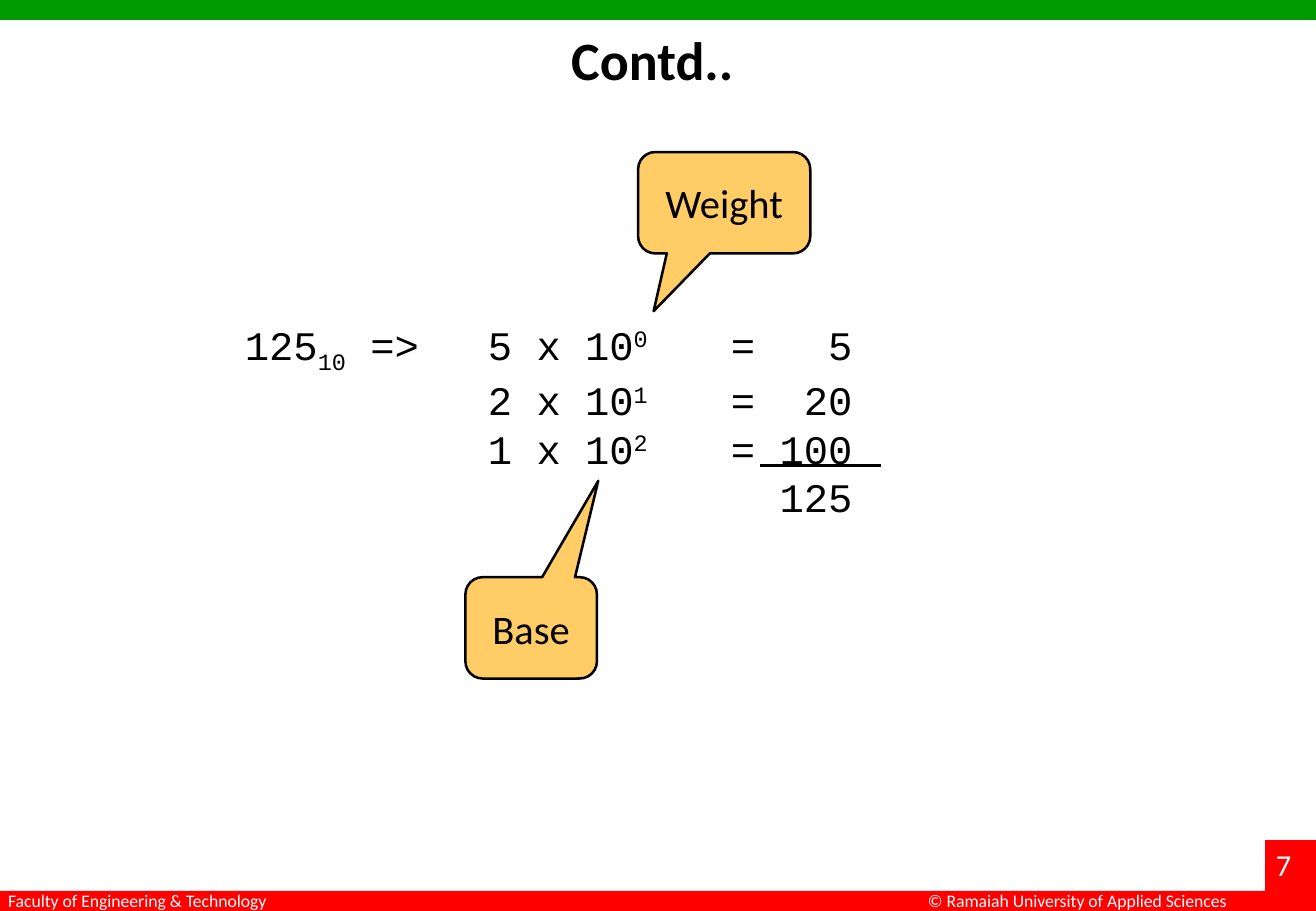
"""Build the slide that expands 125 in base ten by weight and base."""
import pptx
import pptx.util
import pptx.dml.color
import pptx.enum.shapes
import pptx.enum.text
import pptx.oxml.ns
import lxml.etree

Cm, Pt = pptx.util.Cm, pptx.util.Pt
RGB = pptx.dml.color.RGBColor
KIND = pptx.enum.shapes.MSO_SHAPE
ALIGN = pptx.enum.text.PP_ALIGN
ANCHOR = pptx.enum.text.MSO_ANCHOR
qn = pptx.oxml.ns.qn

BLACK = RGB(0, 0, 0)
WHITE = RGB(255, 255, 255)
GREEN = RGB(0, 0x99, 0)
RED = RGB(255, 0, 0)
AMBER = RGB(0xFF, 0xCC, 0x66)

WIDE, HIGH, BAR = 27.51, 19.05, 0.42
BARS = [
    ((0, 0, WIDE, BAR), GREEN),
    ((0, HIGH - BAR, WIDE, BAR), RED),
    ((26.45, 17.57, 1.06, 1.48), RED),
]
LABELS = [
    ("© Ramaiah University of Applied Sciences", (19.15, 18.49, 6.86, 0.71), 10.5),
    ("7", (26.42, 17.57, 1.27, 1.02), 18),
    ("Faculty of Engineering & Technology", (-0.08, 18.49, 6.05, 0.71), 10.5),
]
TITLE = ("Contd.. ", (1.38, BAR, 24.77, 3.18))
SUB, SUPER = -25000, 30000
SUMS = [
    [("125", 0), ("10", SUB), (" =>\t5 x 10", 0), ("0", SUPER), ("\t=\t5", 0)],
    [("\t2 x 10", 0), ("1", SUPER), ("\t=\t20", 0)],
    [("\t1 x 10", 0), ("2", SUPER), ("\t=\t100", 0)],
    [("\t\t\t125", 0)],
]
SUMBOX = (4.87, 6.56, 16.72, 4.32)
TABS = [(5.08, "l"), (10.16, "l"), (12.7, "r")]
RULE = (15.88, 9.73, 18.42, 9.73)
CALLS = [
    ("Base", (9.73, 12.07, 2.75, 2.12), (0.51, -1.45, 0.17)),
    ("Weight", (13.34, 3.18, 3.6, 2.12), (-0.41, 1.07, 0.17)),
]


def cms(box):
    return [Cm(part) for part in box]


def add_run(para, text, size, color, face="Calibri"):
    run = para.add_run()
    run.text = text
    run.font.size, run.font.name = Pt(size), face
    run.font.color.rgb = color
    return run


def add_form(slide, kind, box, color):
    form = slide.shapes.add_shape(kind, *cms(box))
    form.shadow.inherit = False
    form.fill.solid()
    form.fill.fore_color.rgb = color
    form.line.fill.background()
    return form


def add_box(slide, box):
    frame = slide.shapes.add_textbox(*cms(box)).text_frame
    frame.word_wrap = True
    return frame.paragraphs[0]


def add_title(slide):
    text, box = TITLE
    title = slide.shapes.title
    title.left, title.top, title.width, title.height = cms(box)
    frame = title.text_frame
    frame.vertical_anchor = ANCHOR.TOP
    para = frame.paragraphs[0]
    para.alignment = ALIGN.CENTER
    add_run(para, text, 32, BLACK).font.bold = True


def add_sums(slide):
    para = add_box(slide, SUMBOX)
    stops = lxml.etree.SubElement(para._p.get_or_add_pPr(), qn("a:tabLst"))
    for place, side in TABS:
        lxml.etree.SubElement(stops, qn("a:tab"), pos=str(Cm(place)), algn=side)
    for row, parts in enumerate(SUMS):
        if row:
            para.add_line_break()
        for text, shift in parts:
            run = add_run(para, text, 24, BLACK, "Courier New")
            if shift:
                run.font._element.set("baseline", str(shift))


def add_rule(slide):
    rule = slide.shapes.add_connector(
        pptx.enum.shapes.MSO_CONNECTOR.STRAIGHT, *cms(RULE))
    rule.line.color.rgb = BLACK
    rule.line.width = Pt(1.5)
    lxml.etree.SubElement(rule._element.spPr, qn("a:effectLst"))


def add_call(slide, text, box, tip):
    call = add_form(slide, KIND.ROUNDED_RECTANGULAR_CALLOUT, box, AMBER)
    for spot, value in enumerate(tip):
        call.adjustments[spot] = value
    call.line.color.rgb = BLACK
    call.line.width = Pt(1.5)
    call.text_frame.vertical_anchor = ANCHOR.MIDDLE
    para = call.text_frame.paragraphs[0]
    para.alignment = ALIGN.CENTER
    add_run(para, text, 24, BLACK)


def main():
    deck = pptx.Presentation()
    deck.slide_width, deck.slide_height = Cm(WIDE), Cm(HIGH)
    slide = deck.slides.add_slide(deck.slide_layouts[5])
    for box, color in BARS:
        add_form(slide, KIND.RECTANGLE, box, color)
    for text, box, size in LABELS:
        add_run(add_box(slide, box), text, size, WHITE)
    add_title(slide)
    add_sums(slide)
    add_rule(slide)
    for text, box, tip in CALLS:
        add_call(slide, text, box, tip)
    deck.save("out.pptx")


if __name__ == "__main__":
    main()
